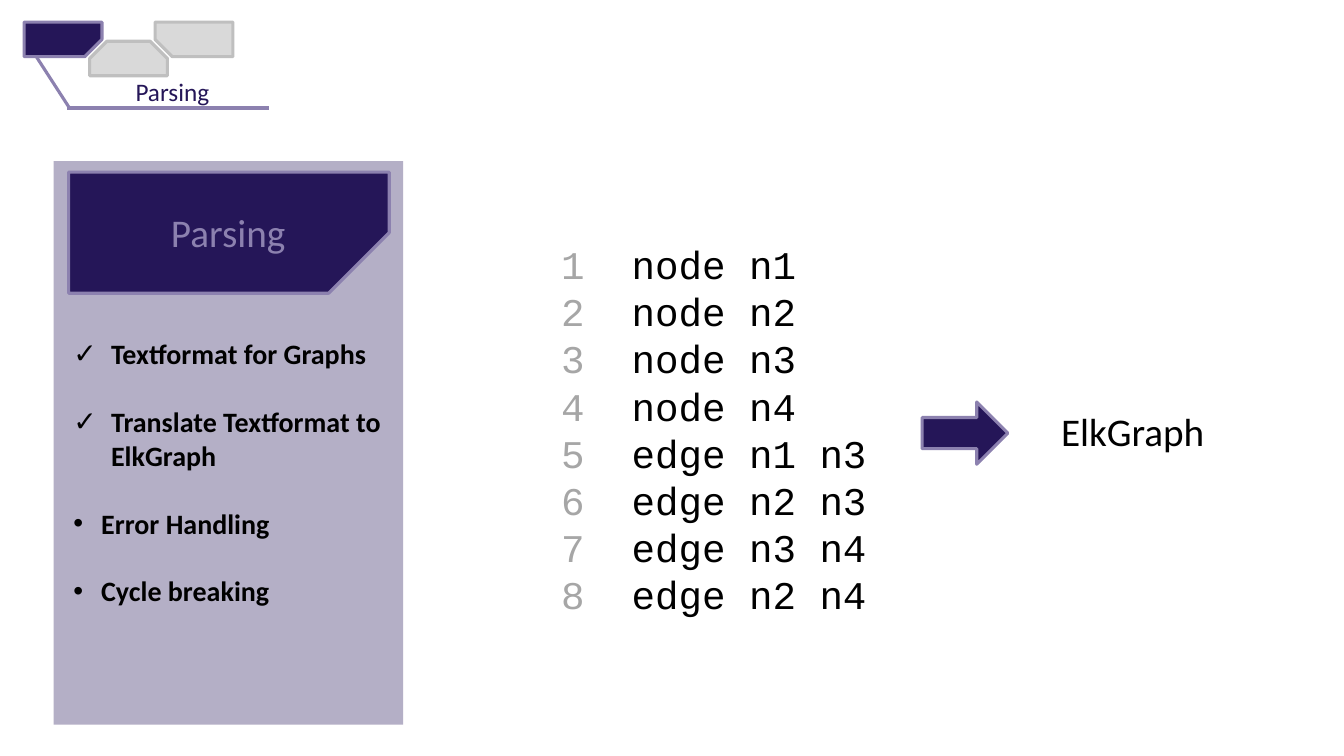
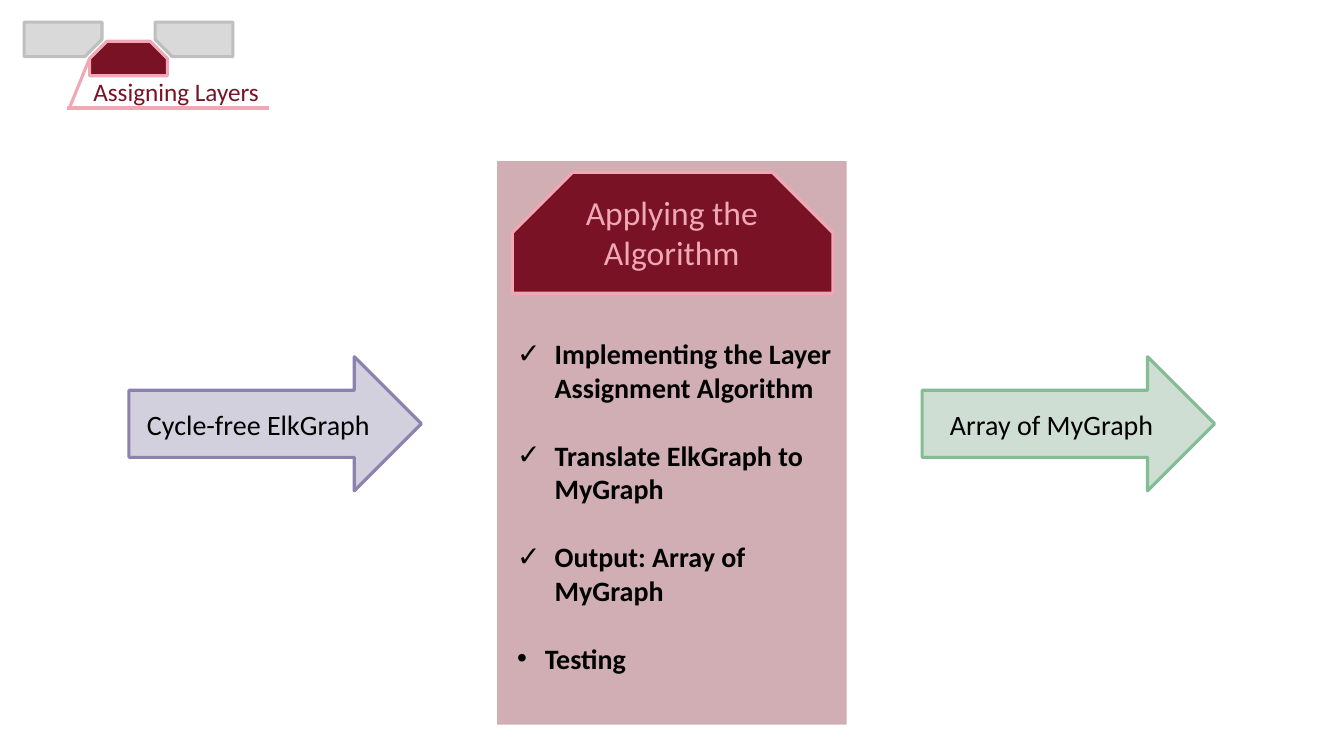
from lxml import etree
from pptx import Presentation
from pptx import util as u
from pptx.dml.color import RGBColor
from pptx.enum import shapes, text
from pptx.oxml.ns import qn

NAVY = RGBColor(0x25, 0x16, 0x58)
LILAC = RGBColor(0x8C, 0x81, 0xAF)
WINE = RGBColor(0x78, 0x12, 0x24)
PINK = RGBColor(0xEF, 0xA8, 0xB4)
GREEN = RGBColor(0x0E, 0x5E, 0x26)
MINT = RGBColor(0x84, 0xBC, 0x95)
PALE = RGBColor(0xD9, 0xD9, 0xD9)
SILVER = RGBColor(0xBF, 0xBF, 0xBF)
GREY = RGBColor(0xA6, 0xA6, 0xA6)
BLACK = RGBColor(0, 0, 0)

SHAPE = shapes.MSO_SHAPE
CENTER = text.PP_ALIGN.CENTER
MIDDLE = text.MSO_ANCHOR.MIDDLE
SNIPS = [
    (SHAPE.SNIP_1_RECTANGLE, ["flipV"]),
    (SHAPE.SNIP_2_SAME_RECTANGLE, []),
    (SHAPE.SNIP_1_RECTANGLE, ["flipH", "flipV"]),
]
TAB_TOPS = [0.56, 1.04, 0.56]
RULE_LEFT, RULE_RIGHT, RULE_TOP = 1.7, 6.78, 2.72


def set_format(target, values):
    for name, value in values.items():
        setattr(target, name, value)


class Slides:
    def __init__(self):
        self.deck = Presentation()
        set_format(self.deck, {"slide_width": u.Cm(33.87), "slide_height": u.Cm(19.05)})
        self.page = None
        self.dark = self.light = None

    def add_page(self, dark, light):
        self.page = self.deck.slides.add_slide(self.deck.slide_layouts[6])
        self.dark, self.light = dark, light

    def shape(self, kind, area, fill, line=None, alpha=None):
        box = self.page.shapes.add_shape(kind, *map(u.Cm, area))
        box.shadow.inherit = False
        box.fill.solid()
        box.fill.fore_color.rgb = fill
        if alpha:
            color = box._element.spPr.find(".//" + qn("a:srgbClr"))
            etree.SubElement(color, qn("a:alpha")).set("val", str(alpha * 1000))
        if line is None:
            box.line.fill.background()
        else:
            box.line.color.rgb = line
            box.line.width = u.Pt(2.25)
        return box

    def snip(self, step, area, fill, line):
        kind, flips = SNIPS[step]
        box = self.shape(kind, area, fill, line)
        box.adjustments[0] = 0.5
        for flip in flips:
            box._element.spPr.find(qn("a:xfrm")).set(flip, "1")

    def line(self, start, end):
        line = self.page.shapes.add_connector(
            shapes.MSO_CONNECTOR.STRAIGHT, *map(u.Cm, start + end))
        line.line.color.rgb = self.light
        line.line.width = u.Pt(2.25)
        etree.SubElement(line._element.spPr, qn("a:effectLst"))

    def words(self, para, wording, size, color=BLACK, font="Calibri", bold=False):
        span = para.add_run()
        span.text = wording
        set_format(span.font, {"size": u.Pt(size), "name": font, "bold": bold})
        span.font.color.rgb = color

    def indent(self, para, margin, hanging, bullet=None):
        props = para._p.get_or_add_pPr()
        props.set("marL", str(u.Cm(margin)))
        props.set("indent", str(-u.Cm(hanging)))
        if bullet:
            etree.SubElement(props, qn("a:buFont")).set("typeface", "Arial")
            etree.SubElement(props, qn("a:buChar")).set("char", bullet)

    def label(self, area, wording, size, color=BLACK, wrap=True, align=None, anchor=None):
        box = self.page.shapes.add_textbox(*map(u.Cm, area))
        set_format(box.text_frame, {"word_wrap": wrap, "vertical_anchor": anchor})
        para = box.text_frame.paragraphs[0]
        para.alignment = align
        self.words(para, wording, size, color)

    def progress(self, step, title, left, width, stem):
        for index, top in enumerate(TAB_TOPS):
            colors = (self.dark, self.light) if index == step else (PALE, SILVER)
            self.snip(index, (0.61 + 1.65 * index, top, 1.96, 0.87), *colors)
        self.line(stem, (1.75, RULE_TOP))
        self.line((RULE_LEFT, RULE_TOP), (RULE_RIGHT, RULE_TOP))
        self.label((left, 1.8, width, 1.02), title, 18, self.dark, False, CENTER)

    def panel(self, step, left, title, size, done, todo):
        box = self.shape(SHAPE.RECTANGLE, (left, 4.06, 8.81, 14.2), self.dark, alpha=34)
        frame = box.text_frame
        set_format(frame, {"vertical_anchor": text.MSO_ANCHOR.TOP, "margin_top": u.Cm(4.43)})
        items = [(item, "✓", 1.2, 0.95) for item in done]
        items += [(item, "•", 0.95, 0.7) for item in todo]
        for index, (item, bullet, margin, hanging) in enumerate(items):
            para = frame.add_paragraph() if index else frame.paragraphs[0]
            para.alignment = text.PP_ALIGN.LEFT
            if index:
                para.space_before = u.Pt(24.4)
            self.indent(para, margin, hanging, bullet)
            self.words(para, item, 20, bold=True)
        self.snip(step, (left + 0.38, 4.34, 8.08, 3.05), self.dark, self.light)
        self.label((left + 1.62, 5.04, 5.56, 1.63), title, size, self.light,
                   align=CENTER, anchor=MIDDLE)

    def arrow(self, area, fill, line, wording=None, alpha=None):
        box = self.shape(SHAPE.RIGHT_ARROW, area, fill, line, alpha)
        if wording:
            box.text_frame.vertical_anchor = MIDDLE
            para = box.text_frame.paragraphs[0]
            para.alignment = CENTER
            self.words(para, wording, 20)

    def listing(self, area, lines):
        box = self.page.shapes.add_textbox(*map(u.Cm, area))
        frame = box.text_frame
        frame.word_wrap = False
        for number, line in enumerate(lines, 1):
            para = frame.add_paragraph() if number > 1 else frame.paragraphs[0]
            self.indent(para, 1.78, 1.78)
            self.words(para, f"{number}\t", 28, GREY, "Courier New")
            self.words(para, line, 28, BLACK, "Courier New")


slides = Slides()

slides.add_page(NAVY, LILAC)
slides.progress(0, "Parsing", 3.15, 2.39, (0.91, 1.42))
slides.panel(0, 1.35, "Parsing", 28,
             ["Textformat for Graphs", "Translate Textformat to ElkGraph"],
             ["Error Handling", "Cycle breaking"])
nodes = [f"node n{number}" for number in range(1, 5)]
edges = [f"edge n{start} n{end}" for start, end in [(1, 3), (2, 3), (3, 4), (2, 4)]]
slides.listing((13.89, 5.94, 8.28, 9.83), nodes + edges)
slides.arrow((23.24, 10.13, 2.16, 1.57), NAVY, LILAC)
slides.label((26.49, 10.13, 5.08, 1.45), "ElkGraph", 28)

slides.add_page(WINE, PINK)
slides.progress(1, "Assigning Layers", 2.08, 4.72, (2.26, 1.47))
slides.panel(1, 12.53, "Applying the Algorithm", 24,
             ["Implementing the Layer Assignment Algorithm",
              "Translate ElkGraph to MyGraph", "Output: Array of MyGraph"],
             ["Testing"])
slides.arrow((3.25, 8.99, 7.37, 3.38), NAVY, LILAC, "Cycle-free ElkGraph", 20)
slides.arrow((23.24, 8.99, 7.37, 3.38), GREEN, MINT, "Array of MyGraph", 20)

slides.deck.save("out.pptx")
